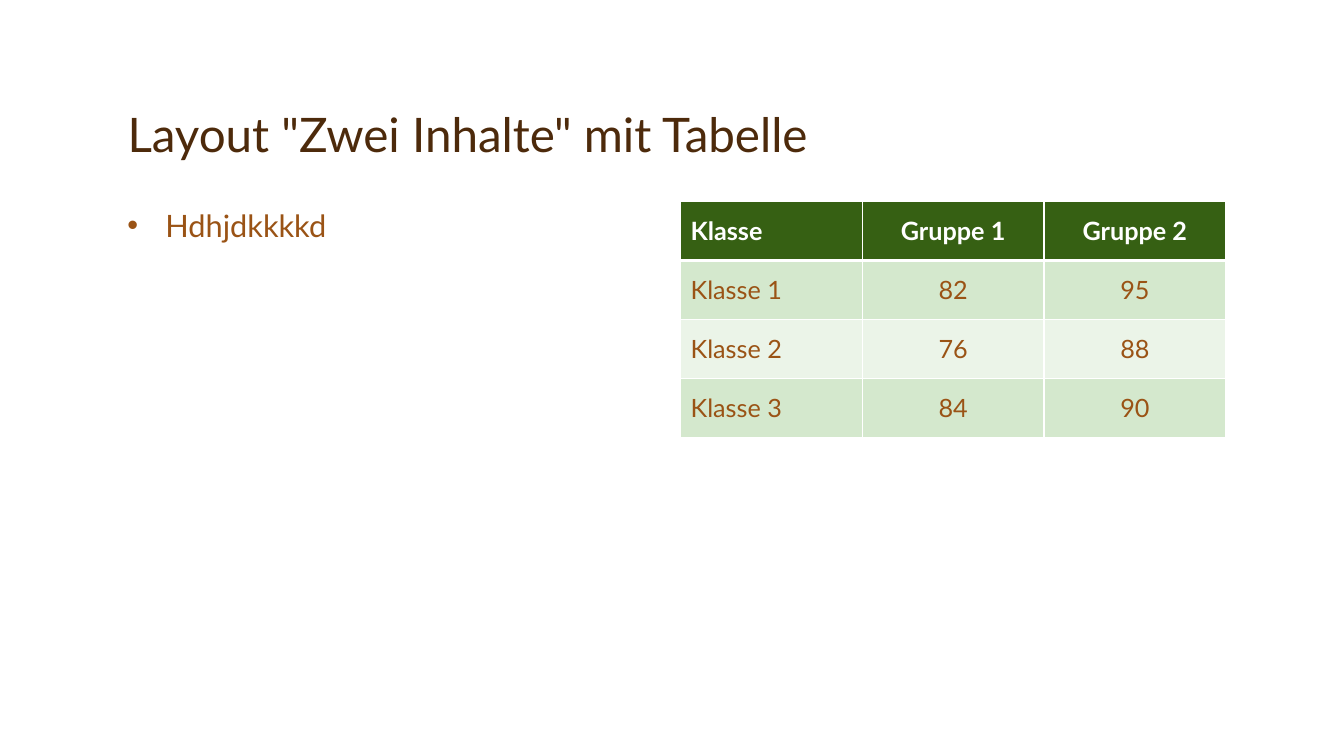
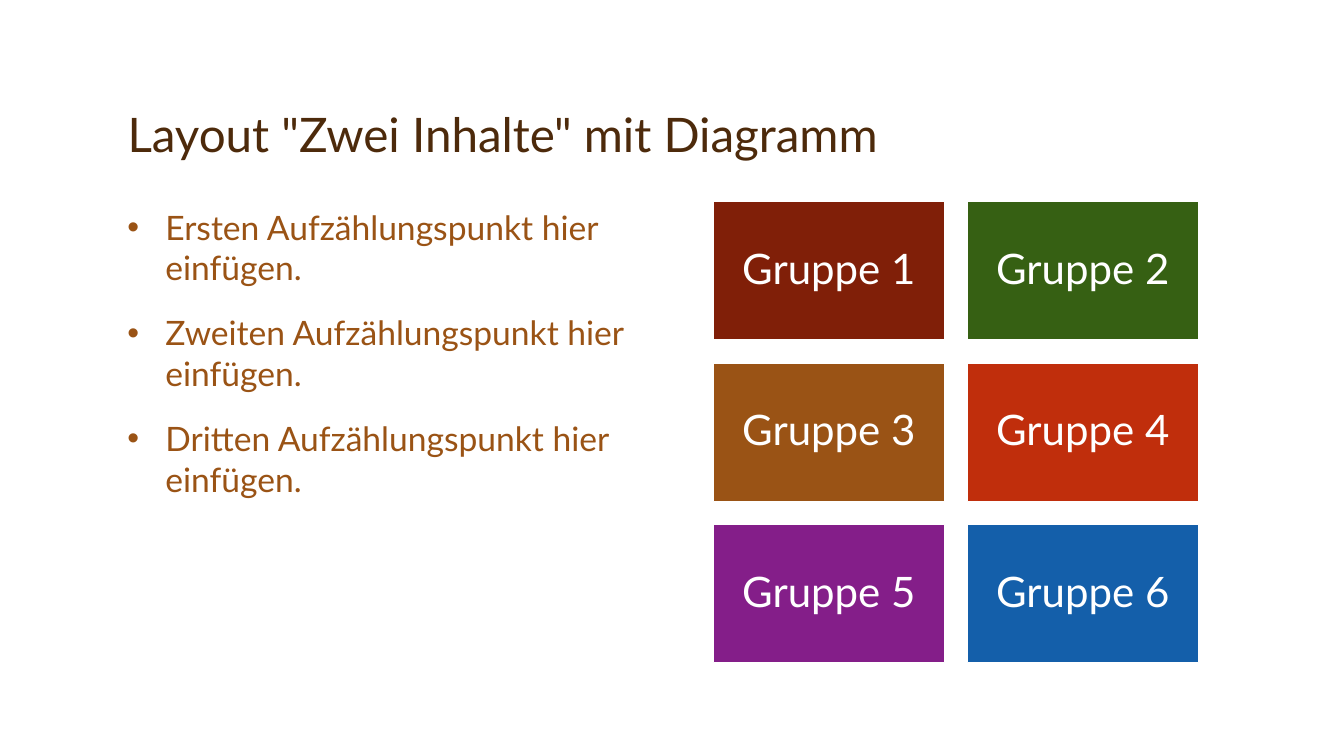
from lxml import etree
from pptx import Presentation
from pptx.dml.color import RGBColor
from pptx.enum.shapes import MSO_SHAPE
from pptx.enum.text import MSO_ANCHOR, MSO_AUTO_SIZE, PP_ALIGN
from pptx.oxml.ns import qn
from pptx.util import Cm, Pt

RECTANGLE = MSO_SHAPE.RECTANGLE
MIDDLE, BOTTOM = MSO_ANCHOR.MIDDLE, MSO_ANCHOR.BOTTOM
NO_AUTOFIT = MSO_AUTO_SIZE.NONE
LEFT, CENTER = PP_ALIGN.LEFT, PP_ALIGN.CENTER

WHITE = RGBColor(0xFF, 0xFF, 0xFF)
DARK_BROWN = RGBColor(0x4D, 0x2A, 0x0B)
BROWN = RGBColor(0x9A, 0x53, 0x15)
GREEN = RGBColor(0x36, 0x60, 0x13)
LIGHT_GREEN = RGBColor(0xD4, 0xE8, 0xCD)
PALE_GREEN = RGBColor(0xEB, 0xF4, 0xE8)
DARK_RED = RGBColor(0x80, 0x1F, 0x08)
RED = RGBColor(0xC0, 0x2E, 0x0C)
PURPLE = RGBColor(0x84, 0x1E, 0x89)
BLUE = RGBColor(0x14, 0x5F, 0xAA)

FONT = "Lato"
TITLE_ONLY = 5
MARGIN, CONTENT_TOP = Cm(2.96), Cm(5.08)
TITLE_BOX = (MARGIN, Cm(0.84), Cm(27.94), Cm(3.38))
SHORT_LIST_BOX = (MARGIN, CONTENT_TOP, Cm(13.77), Cm(6.4))
LONG_LIST_BOX = (MARGIN, CONTENT_TOP, Cm(13.77), Cm(11.63))
TABLE_BOX = (Cm(17.15), CONTENT_TOP, Cm(13.74), Cm(5.94))
TILES_BOX = (Cm(17.98), CONTENT_TOP, Cm(12.22), Cm(11.62))
TILE_GAP = Cm(0.58)
BULLET_INDENT = Cm(0.96)

SCORES = [
    ("Klasse", "Gruppe 1", "Gruppe 2"),
    ("Klasse 1", "82", "95"),
    ("Klasse 2", "76", "88"),
    ("Klasse 3", "84", "90"),
]
BULLETS = [f"{ordinal} Aufzählungspunkt hier einfügen."
           for ordinal in ("Ersten", "Zweiten", "Dritten")]
TILE_COLORS = [DARK_RED, GREEN, BROWN, RED, PURPLE, BLUE]


def format_text(para, size, color, align=LEFT, bold=False):
    """Style one paragraph and its runs."""
    para.alignment = align
    for span in para.runs:
        span.font.name = FONT
        span.font.size = Pt(size)
        span.font.bold = bold
        span.font.color.rgb = color


def add_page(deck, title):
    """Add a white title-only page with the shared title style."""
    page = deck.slides.add_slide(deck.slide_layouts[TITLE_ONLY])
    page.background.fill.solid()
    page.background.fill.fore_color.rgb = WHITE
    box = page.shapes.title
    box.left, box.top, box.width, box.height = TITLE_BOX
    frame = box.text_frame
    frame.text = title
    frame.word_wrap = True
    frame.auto_size = NO_AUTOFIT
    frame.vertical_anchor = BOTTOM
    frame.paragraphs[0].line_spacing = 0.9
    format_text(frame.paragraphs[0], 34, DARK_BROWN)
    return page


def add_bullets(page, area, items, size):
    """Fill the area with a bulleted list."""
    frame = page.shapes.add_textbox(*area).text_frame
    frame.word_wrap = True
    frame.text = "\n".join(items)
    for para in frame.paragraphs:
        para.space_before = Pt(18)
        format_text(para, size, BROWN)
        properties = para._p.get_or_add_pPr()
        properties.set("marL", str(BULLET_INDENT))
        properties.set("indent", str(-BULLET_INDENT))
        etree.SubElement(properties, qn("a:buFont"), typeface="Arial")
        etree.SubElement(properties, qn("a:buChar"), char="•")


def set_borders(cell, top, bottom):
    """Draw white cell borders with the given top and bottom widths."""
    properties = cell._tc.get_or_add_tcPr()
    sides = (("L", 1), ("R", 1), ("T", top), ("B", bottom))
    for position, (side, width) in enumerate(sides):
        line = etree.Element(qn(f"a:ln{side}"), w=str(Pt(width)))
        fill = etree.SubElement(line, qn("a:solidFill"))
        etree.SubElement(fill, qn("a:srgbClr"), val=str(WHITE))
        properties.insert(position, line)


def add_score_table(page, area, rows):
    """Add a banded table with a header row and equal cells."""
    left, top, width, height = area
    table = page.shapes.add_table(len(rows), len(rows[0]), *area).table
    for column in table.columns:
        column.width = width // len(rows[0])
    for row_index, values in enumerate(rows):
        header = row_index == 0
        table.rows[row_index].height = height // len(rows)
        band = LIGHT_GREEN if row_index % 2 else PALE_GREEN
        for column_index, value in enumerate(values):
            cell = table.cell(row_index, column_index)
            cell.text = value
            cell.vertical_anchor = MIDDLE
            set_borders(cell, 3 if row_index == 1 else 1, 3 if header else 1)
            cell.fill.solid()
            cell.fill.fore_color.rgb = GREEN if header else band
            format_text(cell.text_frame.paragraphs[0], 18,
                        WHITE if header else BROWN,
                        CENTER if column_index else LEFT, header)


def add_tiles(page, area, colors, columns=2):
    """Fill the area with a grid of numbered group tiles."""
    left, top, width, height = area
    rows = len(colors) // columns
    tile_width = (width - (columns - 1) * TILE_GAP) // columns
    tile_height = (height - (rows - 1) * TILE_GAP) // rows
    for index, color in enumerate(colors):
        row, column = divmod(index, columns)
        tile = page.shapes.add_shape(
            RECTANGLE, left + column * (tile_width + TILE_GAP),
            top + row * (tile_height + TILE_GAP), tile_width, tile_height)
        tile.shadow.inherit = False
        tile.fill.solid()
        tile.fill.fore_color.rgb = color
        tile.line.color.rgb = WHITE
        tile.line.width = Pt(1)
        frame = tile.text_frame
        frame.text = f"Gruppe {index + 1}"
        frame.word_wrap = True
        frame.vertical_anchor = MIDDLE
        frame.paragraphs[0].line_spacing = 0.9
        format_text(frame.paragraphs[0], 30, WHITE, CENTER)


def main():
    """Build and save the deck."""
    deck = Presentation()
    deck.slide_width, deck.slide_height = Cm(33.87), Cm(19.05)

    page = add_page(deck, 'Layout "Zwei Inhalte" mit Tabelle')
    add_bullets(page, SHORT_LIST_BOX, ["Hdhjdkkkkd"], 22)
    add_score_table(page, TABLE_BOX, SCORES)

    page = add_page(deck, 'Layout "Zwei Inhalte" mit Diagramm')
    add_bullets(page, LONG_LIST_BOX, BULLETS, 24)
    add_tiles(page, TILES_BOX, TILE_COLORS)

    deck.save("out.pptx")


if __name__ == "__main__":
    main()
